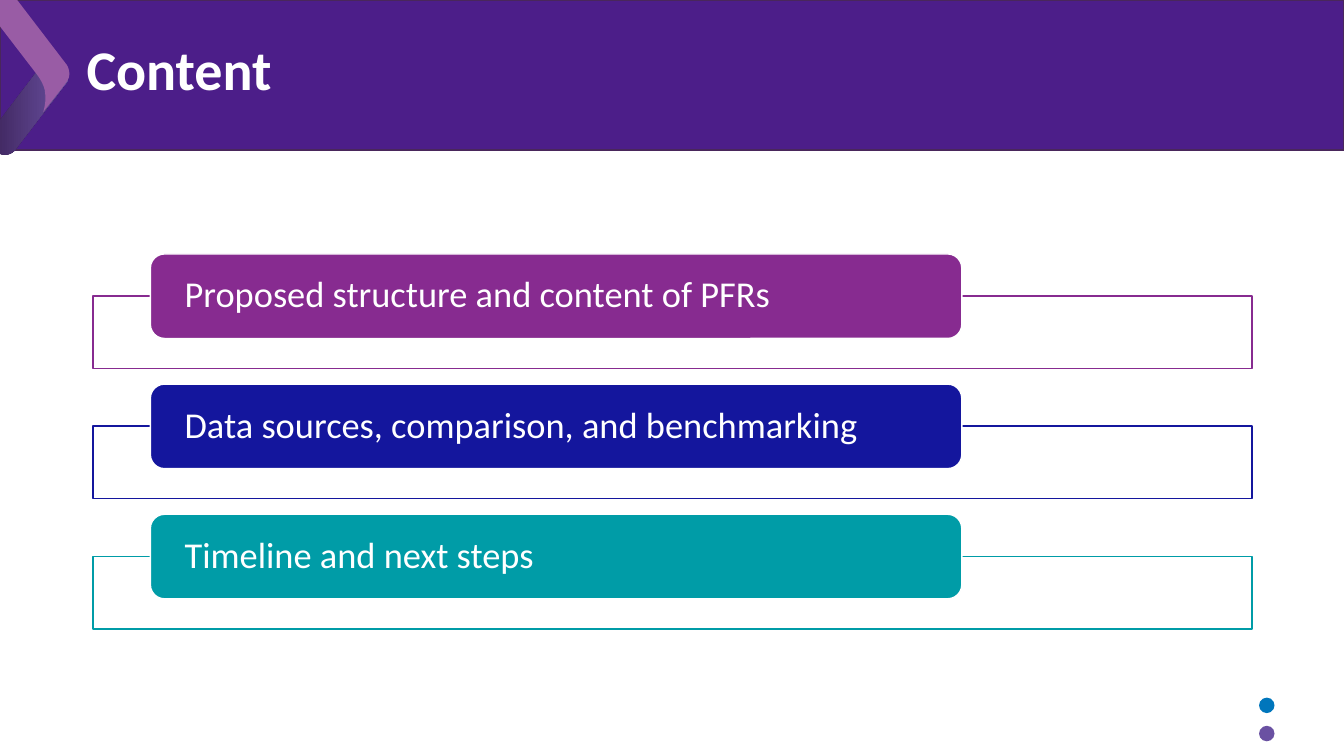
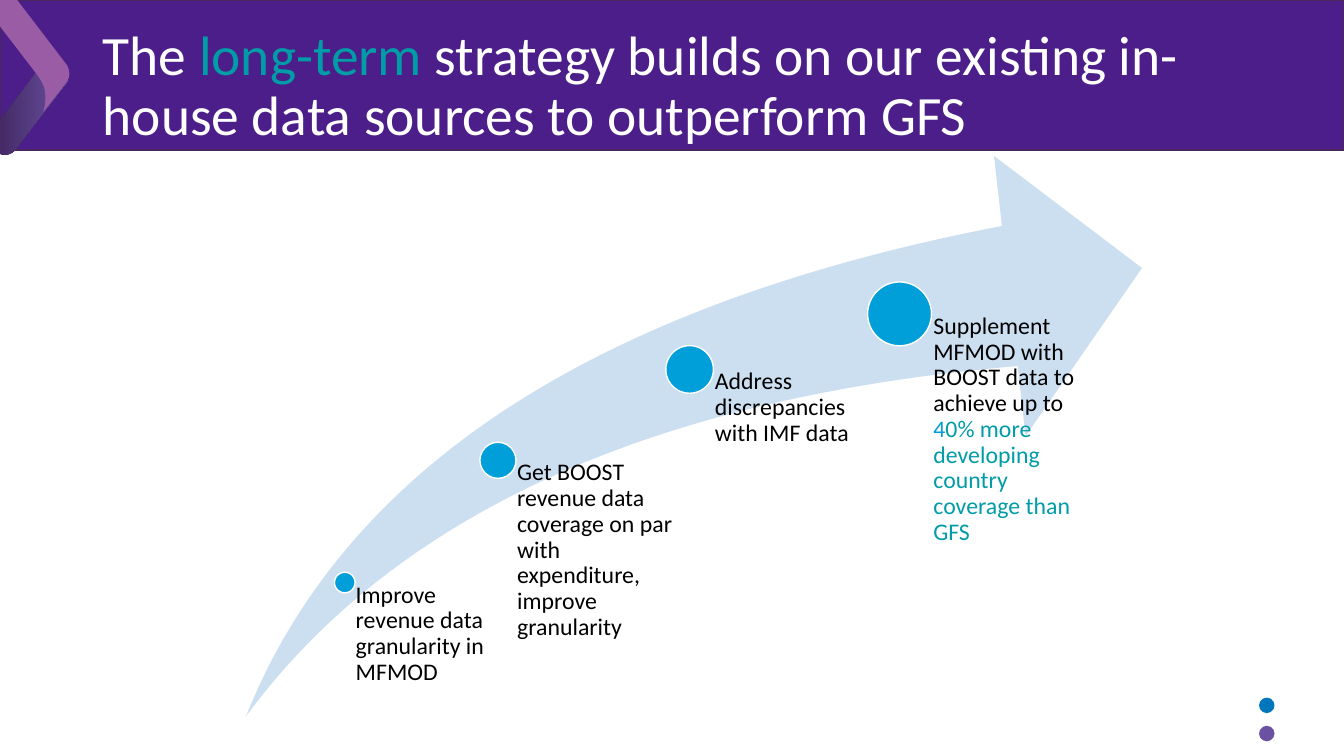
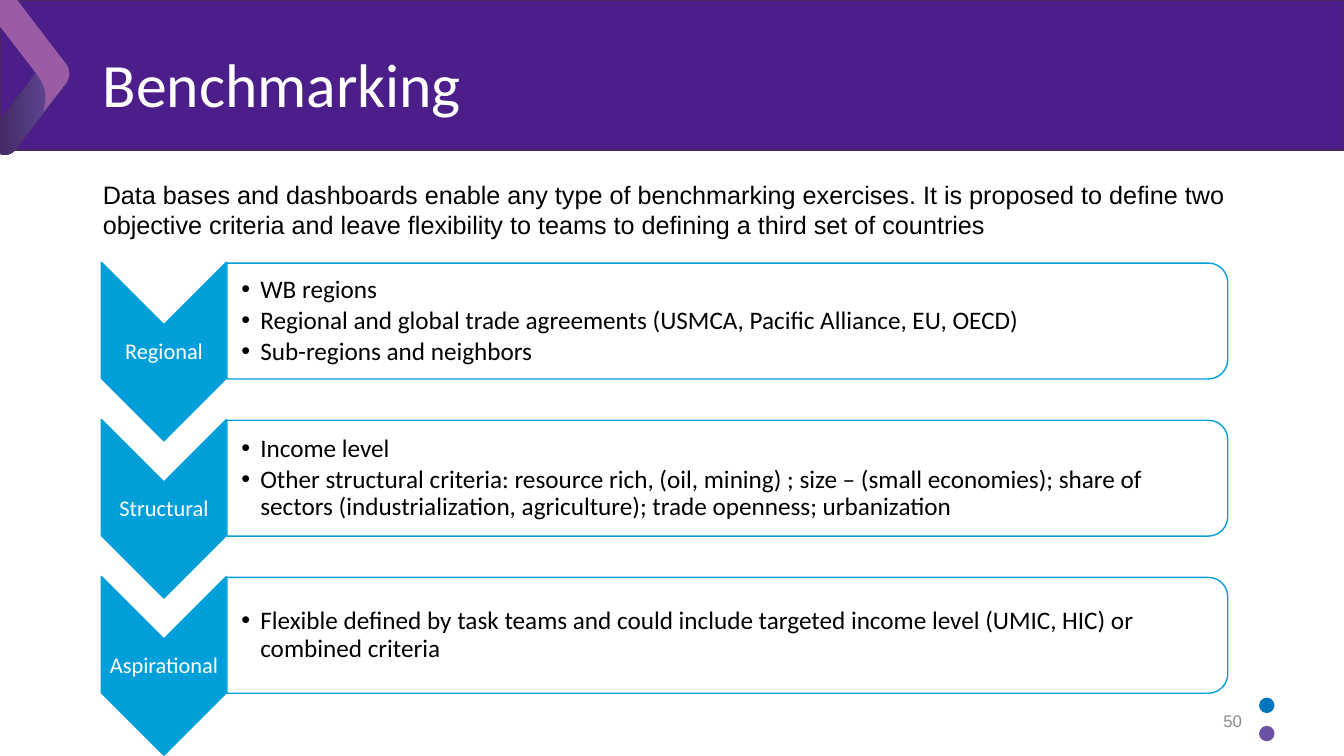
from dataclasses import dataclass

from lxml.etree import SubElement
from pptx import Presentation
from pptx.dml.color import RGBColor
from pptx.enum.shapes import MSO_SHAPE
from pptx.enum.text import MSO_ANCHOR, MSO_AUTO_SIZE, PP_ALIGN
from pptx.oxml.ns import qn
from pptx.util import Cm, Pt


@dataclass(frozen=True)
class Theme:
    white: RGBColor = RGBColor.from_string("FFFFFF")
    black: RGBColor = RGBColor.from_string("000000")
    grey: RGBColor = RGBColor.from_string("8C8C8C")
    band: RGBColor = RGBColor.from_string("4C1E89")
    band_line: RGBColor = RGBColor.from_string("49275B")
    dusk: RGBColor = RGBColor.from_string("3D245B")
    violet: RGBColor = RGBColor.from_string("6A51A2")
    mauve: RGBColor = RGBColor.from_string("995CA5")
    dot_blue: RGBColor = RGBColor.from_string("0076BC")
    plum: RGBColor = RGBColor.from_string("872B90")
    navy: RGBColor = RGBColor.from_string("14169D")
    teal: RGBColor = RGBColor.from_string("009CA7")
    sky: RGBColor = RGBColor.from_string("009FDA")
    pale: RGBColor = RGBColor.from_string("CCDFF1")
    heading: str = "Calibri"
    plain: str = "Arial"
    title: float = 44
    title_bold: float = 40
    title_long: float = 39.6
    agenda: float = 26
    body: float = 18
    milestone: float = 17
    label: float = 16
    number: float = 12


THEME = Theme()
LOWER_FOLD = [
    [(0.38, 3.78)], [(1.68, 2.08)],
    [(1.78, 1.96), (1.75, 1.75), (1.6, 1.65)], [(1.52, 1.57)],
    [(1.4, 1.47), (1.19, 1.5), (1.07, 1.63)], [(-0.23, 3.33)],
    [(-0.33, 3.45), (-0.3, 3.66), (-0.15, 3.78)], [(-0.08, 3.84)],
    [(0.08, 3.94), (0.28, 3.91), (0.38, 3.78)],
]
UPPER_FOLD = [
    [(0.91, 1.85)], [(-0.18, 0.43)],
    [(-0.3, 0.25), (-0.28, 0.03), (-0.13, -0.1)],
    [(0.05, -0.23), (0.28, -0.18), (0.41, -0.03)], [(1.68, 1.63)],
    [(1.75, 1.73), (1.78, 1.91), (1.7, 2.03)],
    [(1.68, 2.08), (1.09, 2.82), (1.09, 2.82)],
    [(1.09, 2.82), (1.17, 2.59), (1.14, 2.36)],
    [(1.14, 2.13), (0.91, 1.85), (0.91, 1.85)],
]


def bezier(start, first, second, end, steps=8):
    for step in range(1, steps + 1):
        t = step / steps
        weights = ((1 - t) ** 3, 3 * t * (1 - t) ** 2, 3 * t * t * (1 - t), t ** 3)
        corners = (start, first, second, end)
        yield tuple(sum(w * c[axis] for w, c in zip(weights, corners)) for axis in (0, 1))


class SlideBuilder:
    def __init__(self, theme):
        self.theme = theme
        self.deck = Presentation()
        self.deck.slide_width, self.deck.slide_height = Cm(33.87), Cm(19.05)
        self.page = None

    def new_page(self, layout_name):
        layout = self.deck.slide_layouts.get_by_name(layout_name)
        self.page = self.deck.slides.add_slide(layout)

    def decorate_master(self):
        theme = self.theme
        parts = [
            self.shape(MSO_SHAPE.RECTANGLE, 0, 0, 33.87, 3.78, theme.band, theme.band_line),
            self.outline(LOWER_FOLD, theme.dusk, theme.violet),
            self.outline(UPPER_FOLD, theme.mauve),
            self.shape(MSO_SHAPE.OVAL, 31.73, 17.58, 0.39, 0.39, theme.dot_blue),
            self.shape(MSO_SHAPE.OVAL, 31.73, 18.29, 0.39, 0.39, theme.violet),
        ]
        tree = self.deck.slide_master.shapes.element
        for order, part in enumerate(parts):
            part.element.nvSpPr.cNvPr.set("id", str(101 + order))
            tree.insert(2 + order, part.element)

    def paint(self, shape, fill, line=None):
        shape.shadow.inherit = False
        shape.fill.solid()
        shape.fill.fore_color.rgb = fill
        if line is None:
            shape.line.fill.background()
        else:
            shape.line.color.rgb = line
            shape.line.width = Pt(1)
        return shape

    def shape(self, kind, left, top, width, height, fill, line=None):
        box = self.page.shapes.add_shape(kind, Cm(left), Cm(top), Cm(width), Cm(height))
        return self.paint(box, fill, line)

    def turned(self, kind, center_x, center_y, width, height, fill, line):
        box = self.shape(kind, center_x - height / 2, center_y - width / 2,
                         height, width, fill, line)
        box.rotation = 90
        return box

    def outline(self, segments, fill, fade=None):
        points = [segments[0][0]]
        for segment in segments[1:]:
            points.extend(segment if len(segment) == 1 else bezier(points[-1], *segment))
        corners = [(Cm(x), Cm(y)) for x, y in points]
        freeform = self.page.shapes.build_freeform(*corners[0])
        freeform.add_line_segments(corners[1:], close=True)
        box = self.paint(freeform.convert_to_shape(), fill)
        if fade is not None:
            box.fill.gradient()
            box.fill.gradient_angle = 0
            for stop, color in zip(box.fill.gradient_stops, (fill, fade)):
                stop.color.rgb = color
        return box

    def set_text(self, box, paragraphs, size, color, font=None, bold=False,
                 anchor=MSO_ANCHOR.MIDDLE, align=PP_ALIGN.LEFT,
                 insets=(0.25, 0.13, 0.25, 0.13), spacing=0.9, after=0, bullet=False):
        frame = box.text_frame
        frame.word_wrap = True
        frame.auto_size = MSO_AUTO_SIZE.NONE
        frame.vertical_anchor = anchor
        (frame.margin_left, frame.margin_top,
         frame.margin_right, frame.margin_bottom) = map(Cm, insets)
        for order, spans in enumerate(paragraphs):
            para = frame.add_paragraph() if order else frame.paragraphs[0]
            if bullet:
                properties = para._p.get_or_add_pPr()
                properties.set("marL", str(Cm(0.48)))
                properties.set("indent", str(Cm(-0.48)))
                SubElement(properties, qn("a:buFont")).set("typeface", self.theme.plain)
                SubElement(properties, qn("a:buChar")).set("char", "•")
            para.alignment = align
            para.line_spacing = spacing
            para.space_before = Pt(0)
            para.space_after = Pt(after)
            for text, tint in [(s, color) if isinstance(s, str) else s for s in spans]:
                span = para.add_run()
                span.text = text
                span.font.name = font or self.theme.heading
                span.font.size = Pt(size)
                span.font.bold = bold
                span.font.color.rgb = tint

    def text(self, left, top, width, height, paragraphs, size, color, **style):
        box = self.page.shapes.add_textbox(Cm(left), Cm(top), Cm(width), Cm(height))
        self.set_text(box, paragraphs, size, color, **style)

    def place(self, holder, left, top, width, height):
        holder.left, holder.top = Cm(left), Cm(top)
        holder.width, holder.height = Cm(width), Cm(height)
        return holder

    def title(self, spans, size, left=2.34, top=0.61, width=29.21, bold=False):
        holder = self.place(self.page.shapes.title, left, top, width, 3.18)
        self.set_text(holder, [spans], size, self.theme.white, bold=bold)

    def body(self, index, left, top, width, height, paragraphs, **style):
        holder = self.place(self.page.placeholders[index], left, top, width, height)
        self.page.shapes.element.append(holder.element)
        self.set_text(holder, paragraphs, self.theme.body, self.theme.black, **style)


def agenda_page(builder):
    theme = builder.theme
    builder.new_page("Title Only")
    builder.decorate_master()
    builder.title(["Content"], theme.title_bold, 1.93, 0.23, 31.14, bold=True)
    topics = [
        ("Proposed structure and content of PFRs", theme.plum),
        ("Data sources, comparison, and benchmarking", theme.navy),
        ("Timeline and next steps", theme.teal),
    ]
    for row, (topic, color) in enumerate(topics):
        top = 6.4 + 3.28 * row
        builder.shape(MSO_SHAPE.RECTANGLE, 2.34, top + 1.06, 29.21, 1.83, theme.white, color)
        tab = builder.shape(MSO_SHAPE.ROUNDED_RECTANGLE, 3.79, top, 20.45, 2.13,
                            color, theme.white)
        builder.set_text(tab, [[topic]], theme.agenda, theme.white, insets=(0.76, 0, 0.76, 0))


def strategy_page(builder):
    theme = builder.theme
    builder.new_page("Title Only")
    builder.title(["The ", ("long-term", theme.teal),
                   " strategy builds on our existing in-house data sources to outperform GFS"],
                  theme.title_long)
    arrow = builder.shape(MSO_SHAPE.SWOOSH_ARROW, 6.2, 3.93, 22.58, 14.12, theme.pale)
    arrow.adjustments[0] = arrow.adjustments[1] = 0.25
    milestones = [
        (8.69, 14.68, 0.52, 3.86, ["Improve revenue data granularity in MFMOD"]),
        (12.55, 11.6, 0.91, 4.75, ["Get BOOST revenue data coverage on par with "
                                   "expenditure, improve granularity"]),
        (17.38, 9.31, 1.2, 4.75, ["Address discrepancies with IMF data"]),
        (22.67, 7.91, 1.61, 4.75, ["Supplement MFMOD with BOOST data to achieve up to ",
                                   ("4", theme.sky),
                                   ("0% more developing country coverage than GFS",
                                    theme.teal)]),
    ]
    for x, y, diameter, width, spans in milestones:
        builder.shape(MSO_SHAPE.OVAL, x - diameter / 2, y - diameter / 2,
                      diameter, diameter, theme.sky, theme.white)
        builder.text(x, y, width, 18.05 - y, [spans], theme.milestone, theme.black,
                     anchor=MSO_ANCHOR.TOP, insets=(0.53 * diameter, 0, 0, 0))


def benchmarking_page(builder):
    theme = builder.theme
    builder.new_page("Comparison")
    builder.title(["Benchmarking"], theme.title)
    builder.text(23.93, 17.65, 7.62, 1.02, [["50"]], theme.number, theme.grey,
                 font=theme.plain, align=PP_ALIGN.RIGHT, spacing=1)
    builder.body(1, 2.34, 4.39, 29.46, 1.8, [[
        "Data bases and dashboards enable any type of benchmarking exercises. It is proposed "
        "to define two objective criteria and leave flexibility to teams to defining a third "
        "set of countries"]], font=theme.plain, anchor=MSO_ANCHOR.TOP, spacing=1)
    groups = [
        ("Regional", ["WB regions",
                      "Regional and global trade agreements (USMCA, Pacific Alliance, EU, OECD)",
                      "Sub-regions and neighbors"]),
        ("Structural", ["Income level",
                        "Other structural criteria: resource rich, (oil, mining) ; size – "
                        "(small economies); share of sectors (industrialization, "
                        "agriculture); trade openness; urbanization"]),
        ("Aspirational", ["Flexible defined by task teams and could include targeted income "
                          "level (UMIC, HIC) or combined criteria"]),
    ]
    edge = 0.03
    for row, (label, criteria) in enumerate(groups):
        middle = 8.09 + 3.96 * row
        builder.turned(MSO_SHAPE.CHEVRON, 4.13, middle + 0.77, 3.15, 4.5, theme.sky, theme.sky)
        builder.text(2.56, middle + 0.11, 3.15, 1.35, [[label]], theme.label, theme.white,
                     align=PP_ALIGN.CENTER, insets=(edge,) * 4)
        builder.turned(MSO_SHAPE.ROUND_2_SAME_RECTANGLE, 18.33, middle, 25.22, 2.92,
                       theme.white, theme.sky)
        builder.body(2 + row, 5.72, middle - 1.32, 25.07, 2.64, [[item] for item in criteria],
                     insets=(0.36, edge, edge, edge), after=2.7, bullet=True)


def main():
    builder = SlideBuilder(THEME)
    agenda_page(builder)
    strategy_page(builder)
    benchmarking_page(builder)
    builder.deck.save("out.pptx")


if __name__ == "__main__":
    main()
